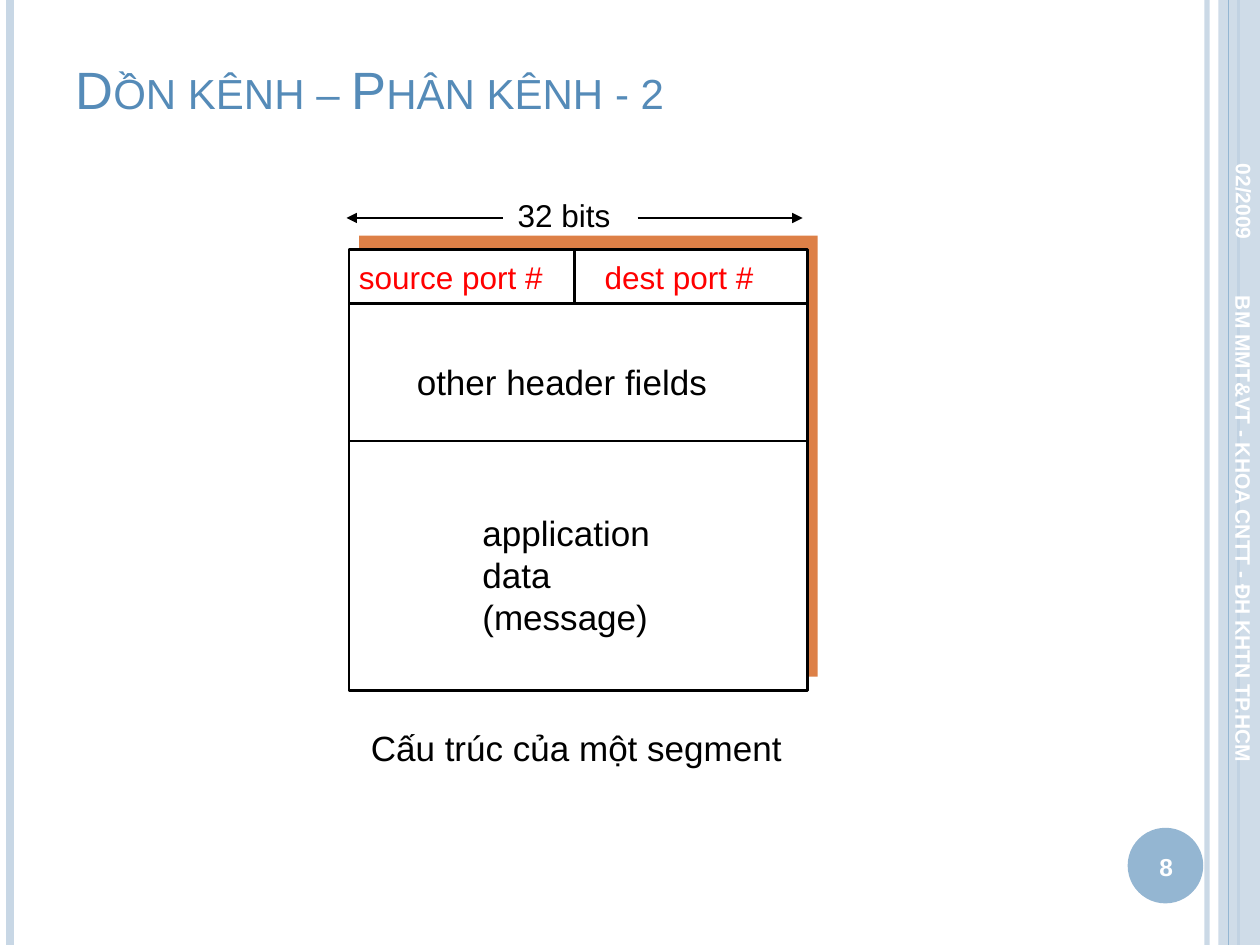
from lxml import etree
from pptx import Presentation, util as u
from pptx.dml.color import RGBColor
from pptx.enum import shapes, text
from pptx.oxml import ns

BLACK = RGBColor(0x00, 0x00, 0x00)
WHITE = RGBColor(0xFF, 0xFF, 0xFF)
RED = RGBColor(0xFF, 0x00, 0x00)
ORANGE = RGBColor(0xDD, 0x80, 0x47)
PALE_BLUE = RGBColor(0xC8, 0xD7, 0xE5)
MID_BLUE = RGBColor(0x94, 0xB6, 0xD2)
TITLE_BLUE = RGBColor(0x55, 0x8B, 0xB8)

SLIDE_W, SLIDE_H = 10, 7.5

# Segment diagram: left edge, top edge, width and the heights of its rows
SEGMENT_X, SEGMENT_Y, SEGMENT_W = 2.77, 1.98, 3.64
ROWS = {"ports": 0.43, "header": 1.09, "data": 1.98}
SEGMENT_H = sum(ROWS.values())
SEGMENT_RIGHT = SEGMENT_X + SEGMENT_W
PORT_SPLIT = SEGMENT_X + 1.79


def inches(*lengths):
    return [u.Inches(length) for length in lengths]


def set_alpha(fill, percent):
    """Make a solid colour, found below the given XML element, translucent."""
    colour = fill.find(".//" + ns.qn("a:srgbClr"))
    etree.SubElement(colour, ns.qn("a:alpha")).set("val", str(percent * 1000))


def add_line(slide, start, end, colour=BLACK, width=1.5, arrow=False, alpha=None):
    line = slide.shapes.add_connector(
        shapes.MSO_CONNECTOR.STRAIGHT, *inches(*start, *end))
    line.line.color.rgb = colour
    line.line.width = u.Pt(width)
    properties = line._element.spPr
    outline = properties.find(ns.qn("a:ln"))
    if alpha:
        set_alpha(outline, alpha)
    if arrow:
        etree.SubElement(outline, ns.qn("a:tailEnd")).set("type", "triangle")
    etree.SubElement(properties, ns.qn("a:effectLst"))


def add_block(slide, kind, box, fill, outline=None, alpha=None):
    block = slide.shapes.add_shape(kind, *inches(*box))
    block.shadow.inherit = False
    block.fill.solid()
    block.fill.fore_color.rgb = fill
    if alpha:
        set_alpha(block._element.spPr, alpha)
    if outline is None:
        block.line.fill.background()
    else:
        block.line.color.rgb = outline
        block.line.width = u.Pt(1.5)


def add_label(slide, wording, box, size, colour=BLACK, bold=False, centred=False,
              anchor=text.MSO_ANCHOR.TOP, rotation=0, wrap=True, small_caps=False):
    label = slide.shapes.add_textbox(*inches(*box))
    label.rotation = rotation
    frame = label.text_frame
    frame.word_wrap = wrap
    frame.vertical_anchor = anchor
    frame.text = wording
    for paragraph in frame.paragraphs:
        paragraph.alignment = text.PP_ALIGN.CENTER if centred else text.PP_ALIGN.LEFT
        for run in paragraph.runs:
            run.font.name = "Arial"
            run.font.size = u.Pt(size)
            run.font.bold = bold
            run.font.color.rgb = colour
            if small_caps:
                run.font._element.set("cap", "small")


def add_frame(slide):
    """Side rails, page number and the rotated date and footer."""
    def rail(x, colour, width, alpha=None):
        add_line(slide, (x, 0), (x, SLIDE_H), colour, width, alpha=alpha)

    rail(9.58, PALE_BLUE, 3, alpha=93)
    rail(0.08, PALE_BLUE, 4.5)
    rail(9.83, MID_BLUE, 1.5)
    add_block(slide, shapes.MSO_SHAPE.RECTANGLE, (9.67, 0, SLIDE_W - 9.67, SLIDE_H),
              PALE_BLUE, alpha=87)
    rail(9.75, MID_BLUE, 0.75)
    add_block(slide, shapes.MSO_SHAPE.OVAL, (8.95, 6.57, 0.6, 0.6), MID_BLUE)

    style = {"colour": WHITE, "bold": True, "anchor": text.MSO_ANCHOR.MIDDLE}
    add_label(slide, "02/2009", (9.23, 1.39, 1.29, 0.42), 12,
              centred=True, rotation=90, **style)
    add_label(slide, "8", (8.92, 6.59, 0.67, 0.57), 14, centred=True, **style)
    add_label(slide, "BM MMT&VT - KHOA CNTT - ĐH KHTN TP.HCM",
              (7.41, 4.51, 4.92, 0.4), 12, rotation=90, **style)


def add_segment(slide):
    rectangle = shapes.MSO_SHAPE.RECTANGLE
    add_block(slide, rectangle,
              (SEGMENT_X + 0.08, SEGMENT_Y - 0.11, SEGMENT_W, SEGMENT_H), ORANGE)
    add_block(slide, rectangle,
              (SEGMENT_X, SEGMENT_Y, SEGMENT_W, SEGMENT_H), WHITE, BLACK)

    ports_bottom = SEGMENT_Y + ROWS["ports"]
    header_bottom = ports_bottom + ROWS["header"]
    for y in (ports_bottom, header_bottom):
        add_line(slide, (SEGMENT_X, y), (SEGMENT_RIGHT, y))
    add_line(slide, (PORT_SPLIT, ports_bottom), (PORT_SPLIT, SEGMENT_Y))

    add_label(slide, "source port #", (2.75, 2, 1.83, 0.4), 18, RED)
    add_label(slide, "dest port #", (4.7, 2, 1.59, 0.4), 18, RED)
    add_label(slide, "other header fields", (3.21, 2.81, 2.74, 0.43), 20)
    add_label(slide, "application\ndata\n(message)", (3.73, 4.01, 1.58, 1.1), 20)


def add_width_marker(slide):
    y = 1.73
    add_label(slide, "32 bits", (4.01, 1.51, 1.04, 0.4), 18)
    add_line(slide, (5.06, y), (6.37, y), arrow=True)
    add_line(slide, (3.99, y), (2.75, y), arrow=True)


def main():
    deck = Presentation()
    deck.slide_width, deck.slide_height = inches(SLIDE_W, SLIDE_H)
    slide = deck.slides.add_slide(deck.slide_layouts[6])

    add_frame(slide)
    add_label(slide, "Dồn kênh – Phân kênh - 2", (0.5, 0.3, 8.42, 0.7), 30,
              TITLE_BLUE, anchor=text.MSO_ANCHOR.BOTTOM, small_caps=True)
    add_segment(slide)
    add_width_marker(slide)
    add_label(slide, "Cấu trúc của một segment", (2.83, 5.72, 3.49, 0.44), 20,
              centred=True, wrap=False)

    deck.save("out.pptx")


if __name__ == "__main__":
    main()
